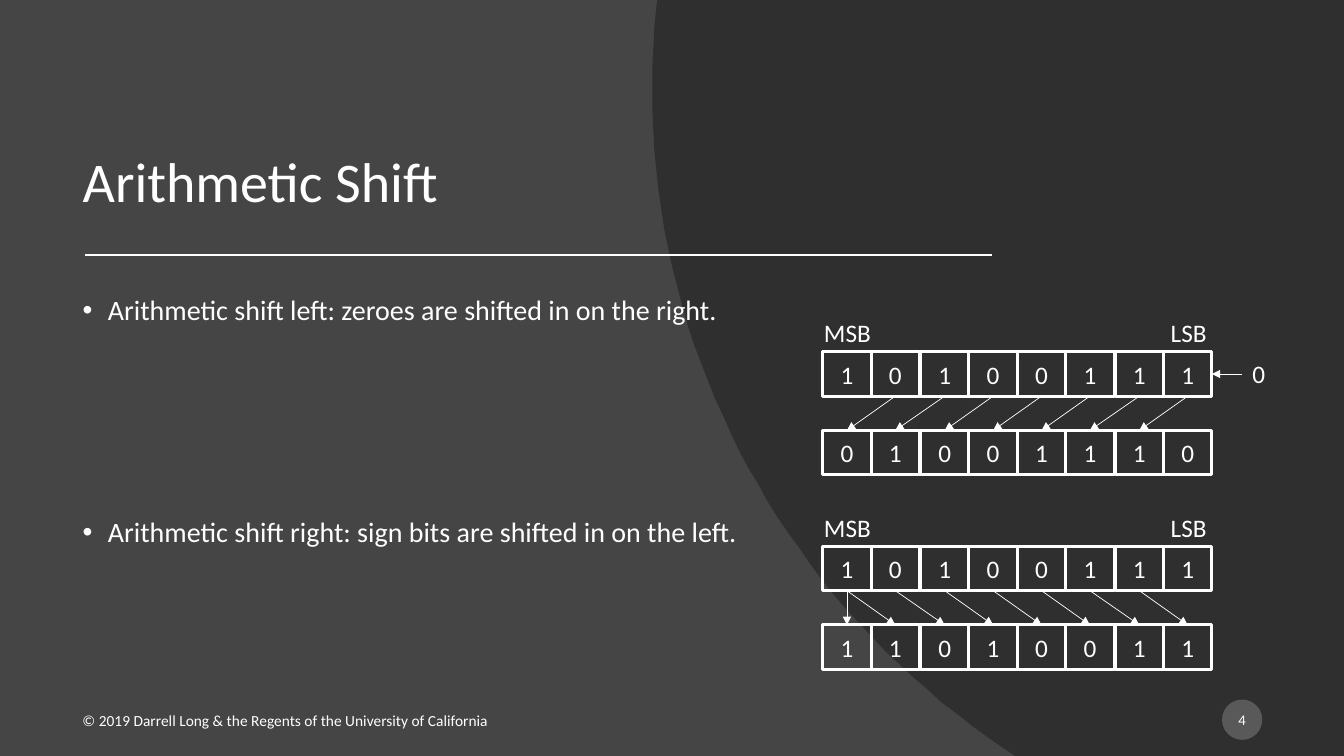
from dataclasses import dataclass

from lxml import etree
from pptx import Presentation
from pptx.dml.color import RGBColor
from pptx.enum.shapes import MSO_CONNECTOR, MSO_SHAPE
from pptx.enum.text import MSO_ANCHOR, MSO_AUTO_SIZE, PP_ALIGN
from pptx.oxml.ns import qn
from pptx.shapes.autoshape import Shape
from pptx.shapes.connector import Connector
from pptx.shapes.shapetree import GroupShapes
from pptx.slide import Slide
from pptx.text.text import TextFrame
from pptx.util import Emu, Pt

RECT, OVAL = MSO_SHAPE.RECTANGLE, MSO_SHAPE.OVAL
STRAIGHT = MSO_CONNECTOR.STRAIGHT
LEFT, CENTER = PP_ALIGN.LEFT, PP_ALIGN.CENTER
TOP, MIDDLE, BOTTOM = MSO_ANCHOR.TOP, MSO_ANCHOR.MIDDLE, MSO_ANCHOR.BOTTOM
NO_FIT = MSO_AUTO_SIZE.NONE

SCALE = 9144  # 100 px to the inch
FONT = "Calibri"
WHITE = "FFFFFF"
BACK, CURVE, BADGE = "454545", "262626", "595959"
ROW_LEFT, ROW_SPAN = 816, 338  # first cell's left; distance to the last
CELL_W, CELL_H, ROW_STEP = 48, 44, 78
AT_TOP, AT_LEFT, AT_BOTTOM, AT_RIGHT = range(4)

Point = tuple[int, int]
Box = tuple[int, int, int, int]


@dataclass(frozen=True)
class Shift:
    top: int
    before: str
    after: str
    moves: list[Point]  # bit index before, bit index after
    feed: str = ""


@dataclass(frozen=True)
class Bullet:
    text: str
    gap: int


SHIFTS = [
    Shift(349, "10100111", "01001110", [(i + 1, i) for i in range(7)], "0"),
    Shift(542, "10100111", "11010011",
          [(i, i + 1) for i in range(7)] + [(0, 0)]),
]
BULLETS = [
    Bullet("Arithmetic shift left: zeroes are shifted in on the right.", 10),
    Bullet("Arithmetic shift right: sign bits are shifted in on the left.", 137),
]


def px(n: int) -> Emu:
    return Emu(n * SCALE)


def color(code: str) -> RGBColor:
    return RGBColor.from_string(code)


def place(shape: Shape, box: Box) -> None:
    shape.left, shape.top, shape.width, shape.height = map(px, box)


def write(frame: TextFrame, text: str, size: float,
          align: PP_ALIGN = LEFT, anchor: MSO_ANCHOR = MIDDLE) -> None:
    frame.vertical_anchor = anchor
    para = frame.paragraphs[0]
    para.alignment = align
    add_run(para, text, size)


def add_run(para, text: str, size: float) -> None:
    run = para.add_run()
    run.text = text
    run.font.name = FONT
    run.font.size = Pt(size)
    run.font.color.rgb = color(WHITE)


def draw_line(shapes: GroupShapes, start: Point, end: Point,
              width: float) -> Connector:
    line = shapes.add_connector(STRAIGHT, *map(px, start + end))
    line.line.color.rgb = color(WHITE)
    line.line.width = Pt(width)
    etree.SubElement(line._element.spPr, qn("a:effectLst"))
    return line


def draw_arrow(shapes: GroupShapes, tail: Shape, tail_side: int,
               head: Shape, head_side: int) -> None:
    start, end = [(s.left // SCALE, s.top // SCALE) for s in (tail, head)]
    line = draw_line(shapes, start, end, 0.5)
    line.begin_connect(tail, tail_side)
    line.end_connect(head, head_side)
    tip = etree.SubElement(line.line._get_or_add_ln(), qn("a:tailEnd"))
    tip.set("type", "triangle")


def draw_row(shapes: GroupShapes, bits: str, top: int) -> list[Shape]:
    cells = []
    for i, bit in enumerate(bits):
        left = ROW_LEFT + round(i * ROW_SPAN / (len(bits) - 1))
        cell = shapes.add_shape(RECT, *map(px, (left, top, CELL_W, CELL_H)))
        cell.shadow.inherit = False
        cell.fill.background()
        cell.line.color.rgb = color(WHITE)
        cell.line.width = Pt(2.25)
        write(cell.text_frame, bit, 18, CENTER)
        cells.append(cell)
    return cells


def draw_label(shapes: GroupShapes, text: str, box: Box) -> Shape:
    label = shapes.add_textbox(*map(px, box))
    label.text_frame.word_wrap = False
    write(label.text_frame, text, 18, CENTER, TOP)
    return label


def draw_shift(slide: Slide, shift: Shift) -> None:
    shapes = slide.shapes.add_group_shape().shapes
    upper = draw_row(shapes, shift.before, shift.top)
    lower = draw_row(shapes, shift.after, shift.top + ROW_STEP)
    draw_label(shapes, "LSB", (1151, shift.top - 39, 56, 40))
    draw_label(shapes, "MSB", (807, shift.top - 39, 67, 40))
    for old, new in shift.moves:
        draw_arrow(shapes, upper[old], AT_BOTTOM, lower[new], AT_TOP)
    if shift.feed:
        feed = draw_label(shapes, shift.feed, (1232, shift.top + 2, 33, 40))
        draw_arrow(shapes, feed, AT_LEFT, upper[-1], AT_RIGHT)


def curve(a: Point, b: Point, c: Point, d: Point, steps: int = 40) -> list[Point]:
    """Points along a cubic Bezier curve, without its start."""
    points = []
    for n in range(1, steps + 1):
        t = n / steps
        u = 1 - t
        parts = (u ** 3, 3 * u * u * t, 3 * u * t * t, t ** 3)
        points.append(tuple(round(sum(k * p[axis] for k, p in
                                      zip(parts, (a, b, c, d))))
                            for axis in (0, 1)))
    return points


def draw_back(slide: Slide) -> None:
    slide.background.fill.solid()
    slide.background.fill.fore_color.rgb = color(BACK)
    edge = [(1333, 0), (1333, 750), (1007, 750), (995, 742)]
    edge += curve((995, 742), (785, 600), (647, 360), (647, 88))
    edge += curve((647, 88), (647, 61), (648, 34), (651, 7), 4)
    pen = slide.shapes.build_freeform(652, 0, SCALE)
    pen.add_line_segments(edge)
    arc = pen.convert_to_shape()
    arc.shadow.inherit = False
    arc.line.fill.background()
    arc.fill.solid()
    arc.fill.fore_color.rgb = color(CURVE)
    tint = arc._element.spPr.find(".//" + qn("a:srgbClr"))
    etree.SubElement(tint, qn("a:alpha")).set("val", "70000")
    slide.shapes.title._element.addprevious(arc._element)


def fill_text(slide: Slide) -> None:
    title, body = slide.shapes.title, slide.placeholders[1]
    place(title, (72, 40, 986, 178))
    title.text_frame.auto_size = NO_FIT
    write(title.text_frame, "Arithmetic Shift", 40, LEFT, BOTTOM)
    title.text_frame.paragraphs[0].line_spacing = 0.9
    place(body, (72, 289, 986, 364))
    frame = body.text_frame
    frame.auto_size = NO_FIT
    for i, item in enumerate(BULLETS):
        para = frame.add_paragraph() if i else frame.paragraphs[0]
        para.line_spacing = 0.9
        para.space_before = Pt(item.gap)
        props = para._p.get_or_add_pPr()
        props.set("marL", str(px(25)))
        props.set("indent", str(px(-25)))
        etree.SubElement(props, qn("a:buFont")).set("typeface", "Arial")
        etree.SubElement(props, qn("a:buChar")).set("char", "•")
        add_run(para, item.text, 20)


def draw_foot(slide: Slide) -> None:
    foot = slide.shapes.add_textbox(*map(px, (72, 695, 450, 40)))
    foot.text_frame.word_wrap = True
    write(foot.text_frame, "© 2019 Darrell Long & the Regents of the "
          "University of California", 11)
    badge = slide.shapes.add_shape(OVAL, *map(px, (1212, 694, 40, 40)))
    badge.shadow.inherit = False
    badge.fill.solid()
    badge.fill.fore_color.rgb = color(BADGE)
    badge.line.fill.background()
    write(badge.text_frame, "4", 10.5, CENTER)
    for shape in (foot, badge):
        shape.text_frame.paragraphs[0].space_after = Pt(6)


def main() -> None:
    deck = Presentation()
    deck.slide_width, deck.slide_height = px(1333), px(750)
    slide = deck.slides.add_slide(deck.slide_layouts[1])
    draw_back(slide)
    fill_text(slide)
    draw_line(slide.shapes, (84, 253), (984, 253), 1.5)
    draw_foot(slide)
    for shift in SHIFTS:
        draw_shift(slide, shift)
    deck.save("out.pptx")


if __name__ == "__main__":
    main()
